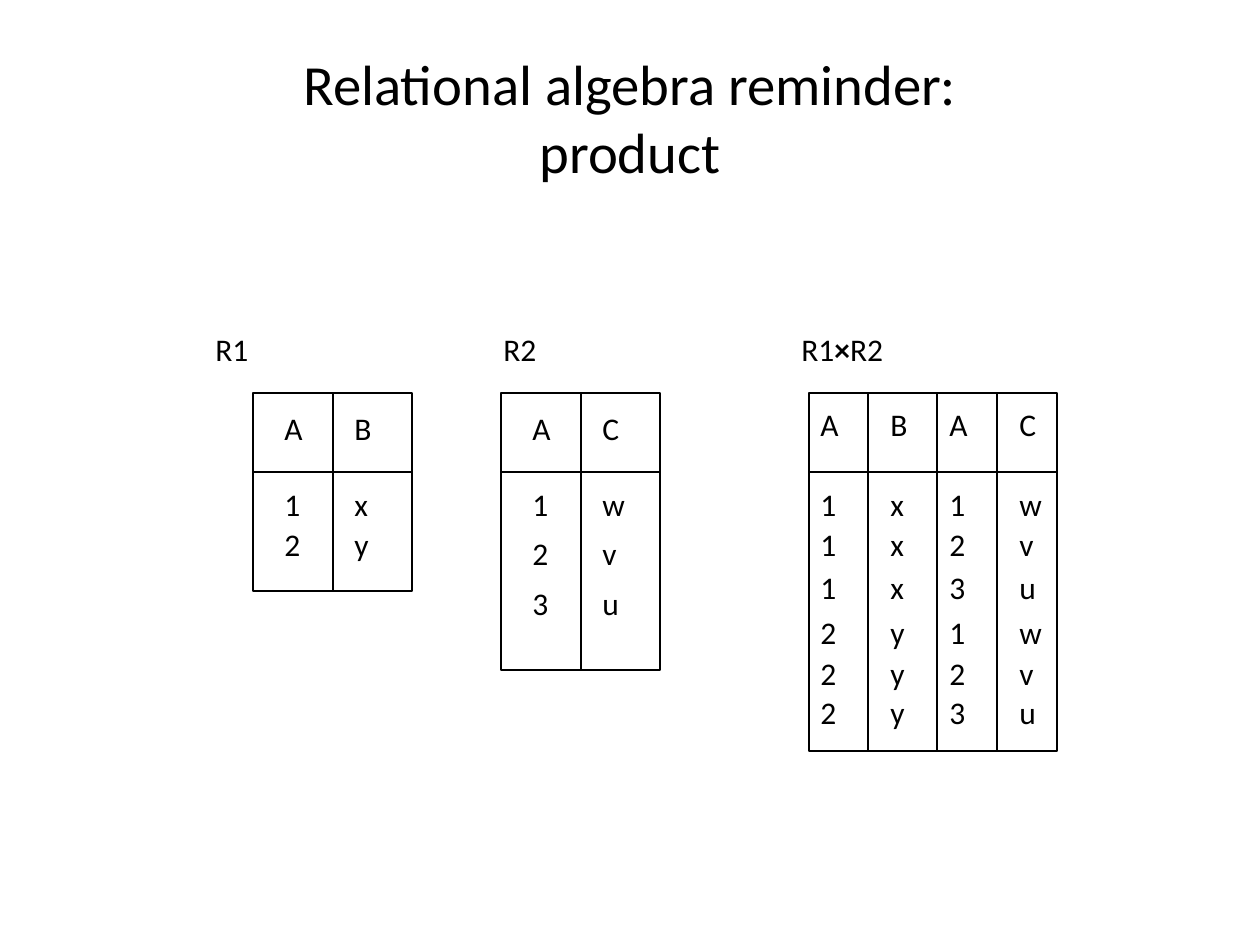
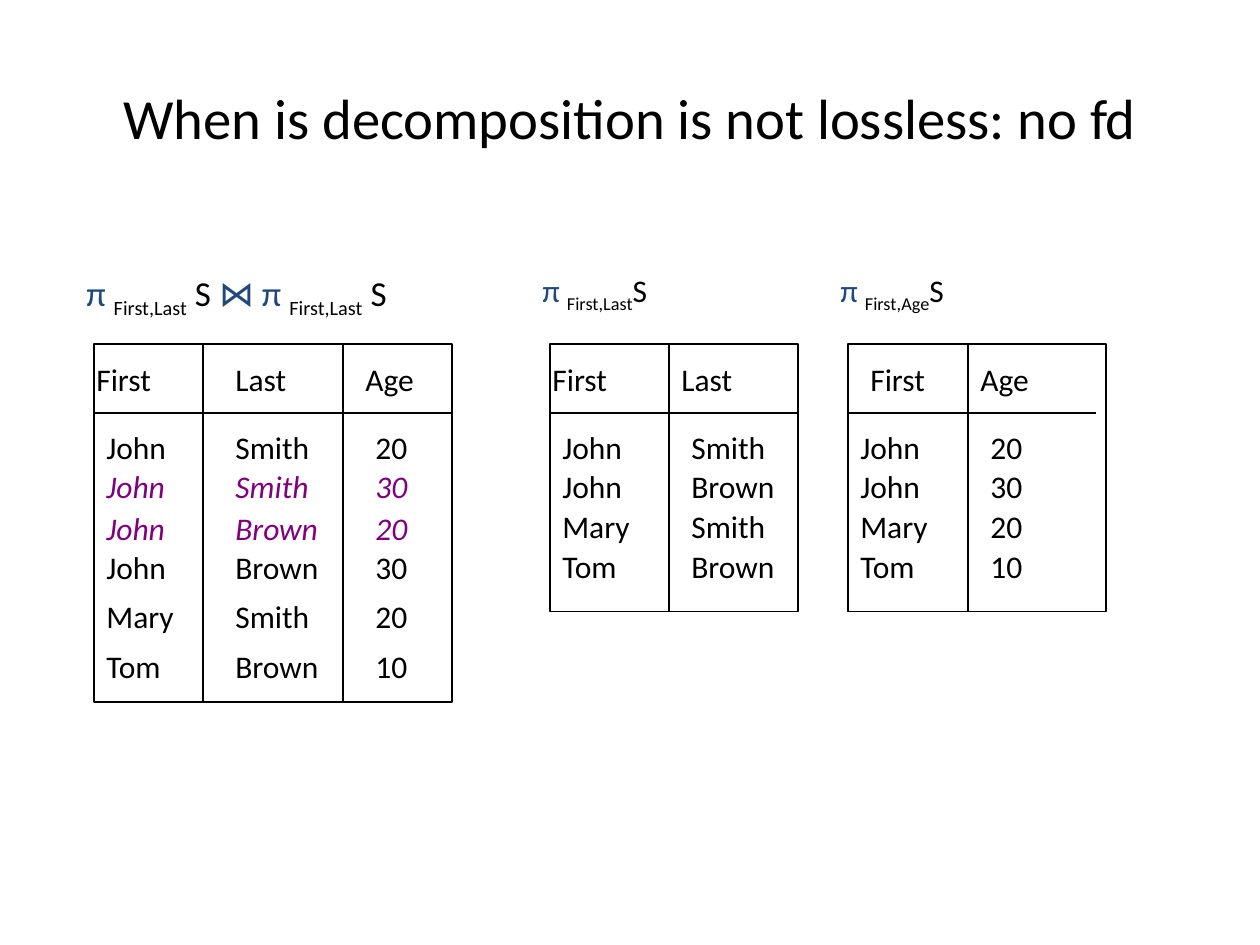
from lxml.etree import SubElement
from pptx import Presentation
from pptx.dml.color import RGBColor
from pptx.enum.shapes import MSO_CONNECTOR, MSO_SHAPE
from pptx.enum.text import MSO_ANCHOR, MSO_AUTO_SIZE, PP_ALIGN
from pptx.oxml.ns import qn
from pptx.util import Inches, Pt

SCALE = Inches(1) // 126
COLORS = {"text": "000000", "line": "000000", "symbol": "1F497D", "spurious": "800080"}
FONT = "Calibri"
BODY_SIZE = 18
TITLE_SIZE = 32.4
LINE_WIDTH = 0.75


def px(n):
    return int(n * SCALE)


def rgb(name):
    return RGBColor.from_string(COLORS[name])


def add_text(s, text, x, y, w, h, size=BODY_SIZE, color="text", italic=False,
             align=PP_ALIGN.LEFT, anchor=MSO_ANCHOR.TOP, grow=True):
    """Text is a string, or a list of (string, format) runs."""
    tf = s.shapes.add_textbox(px(x), px(y), px(w), px(h)).text_frame
    tf.word_wrap = True
    tf.auto_size = MSO_AUTO_SIZE.SHAPE_TO_FIT_TEXT if grow else MSO_AUTO_SIZE.NONE
    tf.vertical_anchor = anchor
    p = tf.paragraphs[0]
    p.alignment = align
    runs = [(text, {})] if isinstance(text, str) else text
    for content, style in runs:
        for i, part in enumerate(content.split("\n")):
            if i:
                p.add_line_break()
            r = p.add_run()
            r.text = part
            r.font.name = FONT
            r.font.size = Pt(size)
            r.font.italic = italic
            r.font.bold = style.get("bold", False)
            r.font.color.rgb = rgb(style.get("color", color))
            if style.get("sub"):
                r._r.get_or_add_rPr().set("baseline", "-25000")


def add_title(s, text):
    add_text(s, text, 63, 38, 1134, 157, size=TITLE_SIZE, align=PP_ALIGN.CENTER,
             anchor=MSO_ANCHOR.MIDDLE, grow=False)


def add_line(s, x1, y1, x2, y2):
    sp = s.shapes.add_connector(MSO_CONNECTOR.STRAIGHT, px(x1), px(y1), px(x2), px(y2))
    sp.line.color.rgb = rgb("line")
    sp.line.width = Pt(LINE_WIDTH)
    SubElement(sp._element.spPr, qn("a:effectLst"))


def add_frame(s, x, y, w, h, rule_y, dividers, rule_end=None):
    """Outer box, rule under the header and column dividers."""
    sp = s.shapes.add_shape(MSO_SHAPE.RECTANGLE, px(x), px(y), px(w), px(h))
    sp.shadow.inherit = False
    sp.fill.background()
    sp.line.color.rgb = rgb("line")
    sp.line.width = Pt(LINE_WIDTH)
    add_line(s, x, rule_y, rule_end or x + w, rule_y)
    for divider in dividers:
        add_line(s, divider, y, divider, y + h)


def add_row(s, values, cols, y, h, **style):
    """Cols holds the (left, width) of each value."""
    for value, (x, w) in zip(values, cols):
        add_text(s, value, x, y, w, h, **style)


def add_relation(s, frame, header, header_cols, header_y, rows, cols, row_ys, h,
                 spurious=()):
    add_frame(s, **frame)
    add_row(s, header, header_cols, header_y, h)
    for i, (values, y) in enumerate(zip(rows, row_ys)):
        style = {"color": "spurious", "italic": True} if i in spurious else {}
        add_row(s, values, cols, y, h, **style)


def projection(attributes, prefix="", suffix="S"):
    return [(prefix + "π ", {"color": "symbol"}), (attributes, {"sub": True}), (suffix, {})]


def product_slide(s):
    add_title(s, "Relational algebra reminder:\nproduct")
    top, rule_y, cell_h = 393, 472, 63
    r1 = ["1x", "2y"]
    r2 = ["1w", "2v", "3u"]
    product = [a + b for a in r1 for b in r2]

    # label, label left, label width, left, width, height, dividers,
    # header, header top, rows, column lefts, row tops
    relations = [
        ("R1", 203, 99, 253, 159, 198, [333], "AB", 403, r1, [272, 342], [479, 519]),
        ("R2", 491, 99, 501, 159, 277, [581], "AC", 403, r2, [520, 590], [479, 528, 578]),
        ([("R1", {}), ("×", {"bold": True}), ("R2", {})], 789, 198, 809, 248, 358,
         [868, 937, 997], "ABAC", 399, product, [808, 878, 937, 1007],
         [479, 519, 562, 607, 648, 687]),
    ]
    for (label, label_x, label_w, x, w, h, dividers,
         header, header_y, rows, lefts, row_ys) in relations:
        add_text(s, label, label_x, 324, label_w, cell_h)
        frame = dict(x=x, y=top, w=w, h=h, rule_y=rule_y, dividers=dividers)
        cols = [(left, 59) for left in lefts]
        add_relation(s, frame, header, cols, header_y, rows, cols, row_ys, cell_h)


def decomposition_slide(s):
    add_title(s, "When is decomposition is not lossless: no fd")
    top, rule_y, header_y, cell_h = 344, 413, 354, 50
    label_y = 265
    people = [("John", "Smith", "20"), ("John", "Brown", "30"),
              ("Mary", "Smith", "20"), ("Tom", "Brown", "10")]
    joined = [people[0], ("John", "Smith", "30"), ("John", "Brown", "20"), *people[1:]]
    row_ys = [422, 461, 501, 541]

    # Join of the projections, with its spurious rows marked
    add_text(s, projection("First,Last", suffix=" S ")
             + projection("First,Last", prefix="⋈ ", suffix=" S"),
             74, label_y, 397, 54, size=20)
    add_relation(
        s, dict(x=94, y=top, w=358, h=358, rule_y=rule_y, dividers=[203, 343]),
        ("First", "Last", "Age"), [(84, 128), (223, 128), (353, 99)], header_y,
        joined, [(94, 128), (223, 118), (363, 99)],
        [422, 461, 503, 542, 591, 641], cell_h, spurious=(1, 2))

    # Projection on first and last name
    add_text(s, projection("First,Last"), 530, label_y, 318, 63)
    add_relation(
        s, dict(x=550, y=top, w=248, h=268, rule_y=rule_y, dividers=[669]),
        ("First", "Last"), [(540, 129), (669, 149)], header_y,
        [(first, last) for first, last, _ in people], [(550, 129), (679, 129)],
        row_ys, cell_h)

    # Projection on first name and age
    add_text(s, projection("First,Age"), 828, label_y, 318, 63)
    add_relation(
        s, dict(x=848, y=top, w=258, h=268, rule_y=rule_y, dividers=[968], rule_end=1096),
        ("First", "Age"), [(858, 129), (968, 149)], header_y,
        [(first, age) for first, _, age in people], [(848, 129), (978, 79)],
        row_ys, cell_h)


def main():
    prs = Presentation()
    prs.slide_width, prs.slide_height = Inches(10), Inches(7.5)
    for build in (product_slide, decomposition_slide):
        build(prs.slides.add_slide(prs.slide_layouts[6]))
    prs.save("out.pptx")


main()
